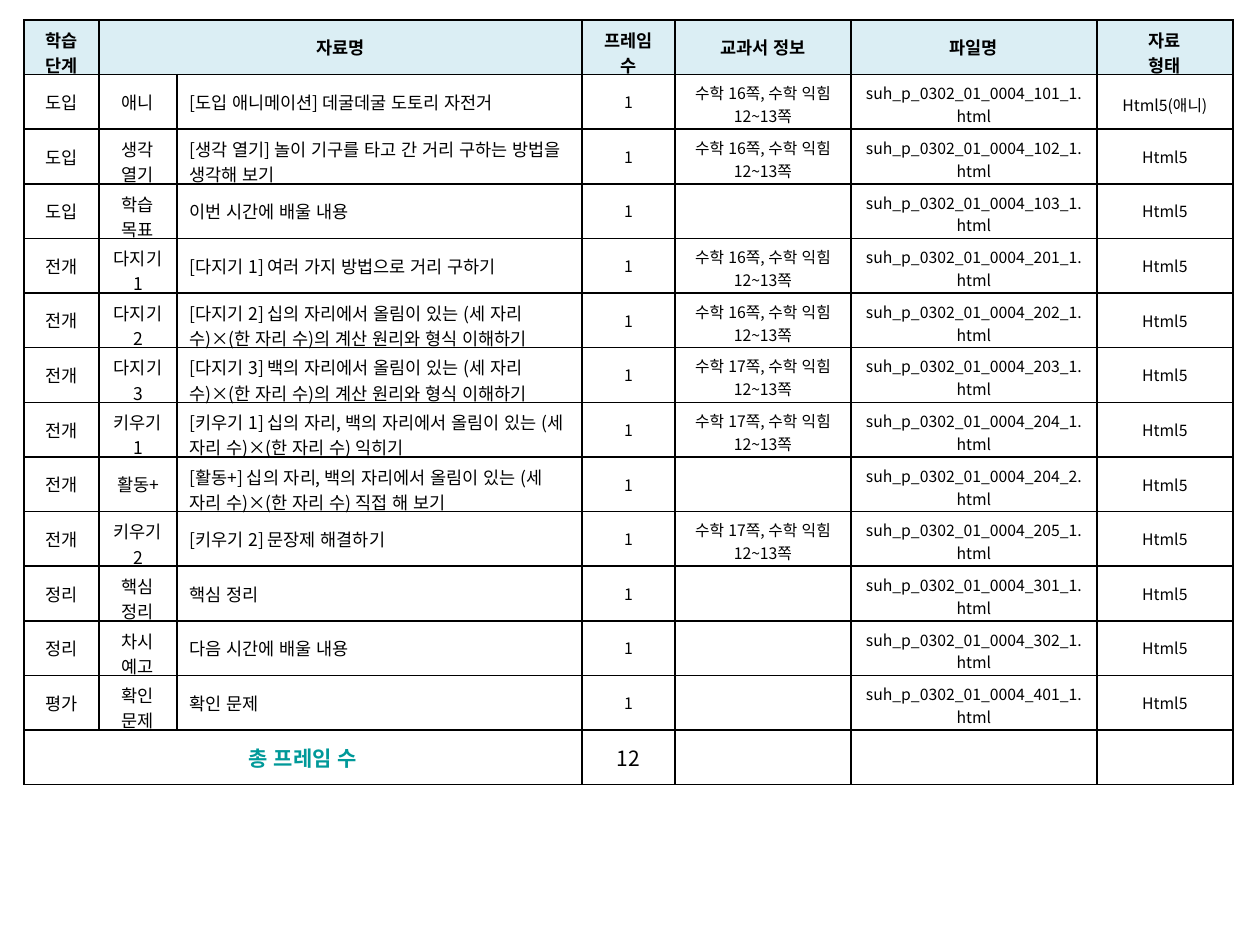
from lxml import etree
from pptx import Presentation
from pptx import util as u
from pptx.dml.color import RGBColor
from pptx.enum import lang, text
from pptx.oxml.ns import qn

PX = u.Inches(1) / 126
FONT = "Noto Sans CJK KR"
BLACK, WHITE, TEAL, PALE_BLUE = "000000", "FFFFFF", "009999", "DBEEF4"

# Content
HEADER = ["학습 단계", "자료명", "", "프레임 수", "교과서 정보", "파일명", "자료\n형태"]
# stage, activity, material name, textbook page, file number
LESSONS = [
    ("도입", "애니", "[도입 애니메이션] 데굴데굴 도토리 자전거", 16, "101_1"),
    ("도입", "생각 열기", "[생각 열기] 놀이 기구를 타고 간 거리 구하는 방법을 생각해 보기", 16, "102_1"),
    ("도입", "학습 목표", "이번 시간에 배울 내용", None, "103_1"),
    ("전개", "다지기 1", "[다지기 1] 여러 가지 방법으로 거리 구하기", 16, "201_1"),
    ("전개", "다지기 2", "[다지기 2] 십의 자리에서 올림이 있는 (세 자리 수)×(한 자리 수)의 계산 원리와 형식 이해하기", 16, "202_1"),
    ("전개", "다지기 3", "[다지기 3] 백의 자리에서 올림이 있는 (세 자리 수)×(한 자리 수)의 계산 원리와 형식 이해하기", 17, "203_1"),
    ("전개", "키우기1", "[키우기 1] 십의 자리, 백의 자리에서 올림이 있는 (세 자리 수)×(한 자리 수) 익히기", 17, "204_1"),
    ("전개", "활동+", "[활동+] 십의 자리, 백의 자리에서 올림이 있는 (세 자리 수)×(한 자리 수) 직접 해 보기", None, "204_2"),
    ("전개", "키우기2", "[키우기 2] 문장제 해결하기", 17, "205_1"),
    ("정리", "핵심 정리", "핵심 정리", None, "301_1"),
    ("정리", "차시 예고", "다음 시간에 배울 내용", None, "302_1"),
    ("평가", "확인 문제", "확인 문제", None, "401_1"),
]
TOTAL = ["총 프레임 수", "", "", str(len(LESSONS)), "", "", ""]

# Layout in px
LEFT, TOP, HEIGHT = 24, 20, 765
COLS = [75, 78, 405, 93, 176, 246, 136]
SIZES = [10, 10, 10, 9, 9, 9, 9]
# Longest text that stays on one line, by column
ONE_LINE = [4, 3, 30, 4, 12, 12, 8]
# Bottom inset in inches of a two-line cell, by text size
TIGHT_BOTTOM = {10: -0.03, 9: 0.01}
NAME_COL = 2


def px(n):
    return u.Emu(round(n * PX))


def rgb(color):
    return RGBColor.from_string(color)


def lesson_row(stage, activity, name, page, number):
    book = f"수학 {page}쪽, 수학 익힘 12~13쪽" if page else ""
    kind = "Html5(애니)" if activity == "애니" else "Html5"
    return [stage, activity, name, "1", book, f"suh_p_0302_01_0004_{number}.html", kind]


def set_borders(cell):
    tcPr = cell._tc.get_or_add_tcPr()
    for i, side in enumerate(("lnL", "lnR", "lnT", "lnB")):
        ln = etree.Element(qn(f"a:{side}"), w=str(u.Pt(1)))
        fill = etree.SubElement(ln, qn("a:solidFill"))
        etree.SubElement(fill, qn("a:srgbClr"), val=BLACK)
        tcPr.insert(i, ln)


def fill_cell(cell, value, size, color, bold, align, fill):
    cell.vertical_anchor = text.MSO_ANCHOR.MIDDLE
    if fill:
        cell.fill.solid()
        cell.fill.fore_color.rgb = rgb(fill)
    else:
        cell.fill.background()
    set_borders(cell)
    cell.text_frame.text = value
    for p in cell.text_frame.paragraphs:
        p.alignment = align
        for r in p.runs:
            r.font.size, r.font.bold, r.font.name = u.Pt(size), bold, FONT
            r.font.color.rgb = rgb(color)
            r.font.language_id = lang.MSO_LANGUAGE_ID.KOREAN
            rPr = r._r.get_or_add_rPr()
            rPr.set("kern", "0")
            etree.SubElement(rPr, qn("a:ea"), typeface=FONT)
        if not p.runs:
            etree.SubElement(p._p, qn("a:endParaRPr"), sz=str(size * 100))


prs = Presentation()
prs.slide_width, prs.slide_height = u.Inches(10), u.Inches(7.5)
s = prs.slides.add_slide(prs.slide_layouts[6])

# Table grid
rows = [HEADER] + [lesson_row(*lesson) for lesson in LESSONS] + [TOTAL]
last = len(rows) - 1
table = s.shapes.add_table(len(rows), len(COLS), px(LEFT), px(TOP),
                           px(sum(COLS)), px(HEIGHT)).table
table.first_row = table.horz_banding = False
for column, width in zip(table.columns, COLS):
    column.width = px(width)
for row in table.rows:
    row.height = px(HEIGHT / len(rows))

# Cells
for i, values in enumerate(rows):
    for j, value in enumerate(values):
        cell = table.cell(i, j)
        size, color, bold, fill = SIZES[j], BLACK, False, None
        align = text.PP_ALIGN.CENTER
        if i == 0:
            size, bold, fill = 10, True, PALE_BLUE
        elif i == last:
            size, fill = 12, WHITE
            if j == 0:
                color, bold = TEAL, True
        else:
            fill = WHITE if i == last - 1 else None
            if j == NAME_COL:
                align = text.PP_ALIGN.LEFT
        fill_cell(cell, value, size, color, bold, align, fill)
        if i < last and (len(value) > ONE_LINE[j] or "\n" in value):
            cell.margin_bottom = u.Inches(TIGHT_BOTTOM[size])

# Merged header and total labels
table.cell(0, 1).merge(table.cell(0, 2))
table.cell(last, 0).merge(table.cell(last, 2))

prs.save("out.pptx")
